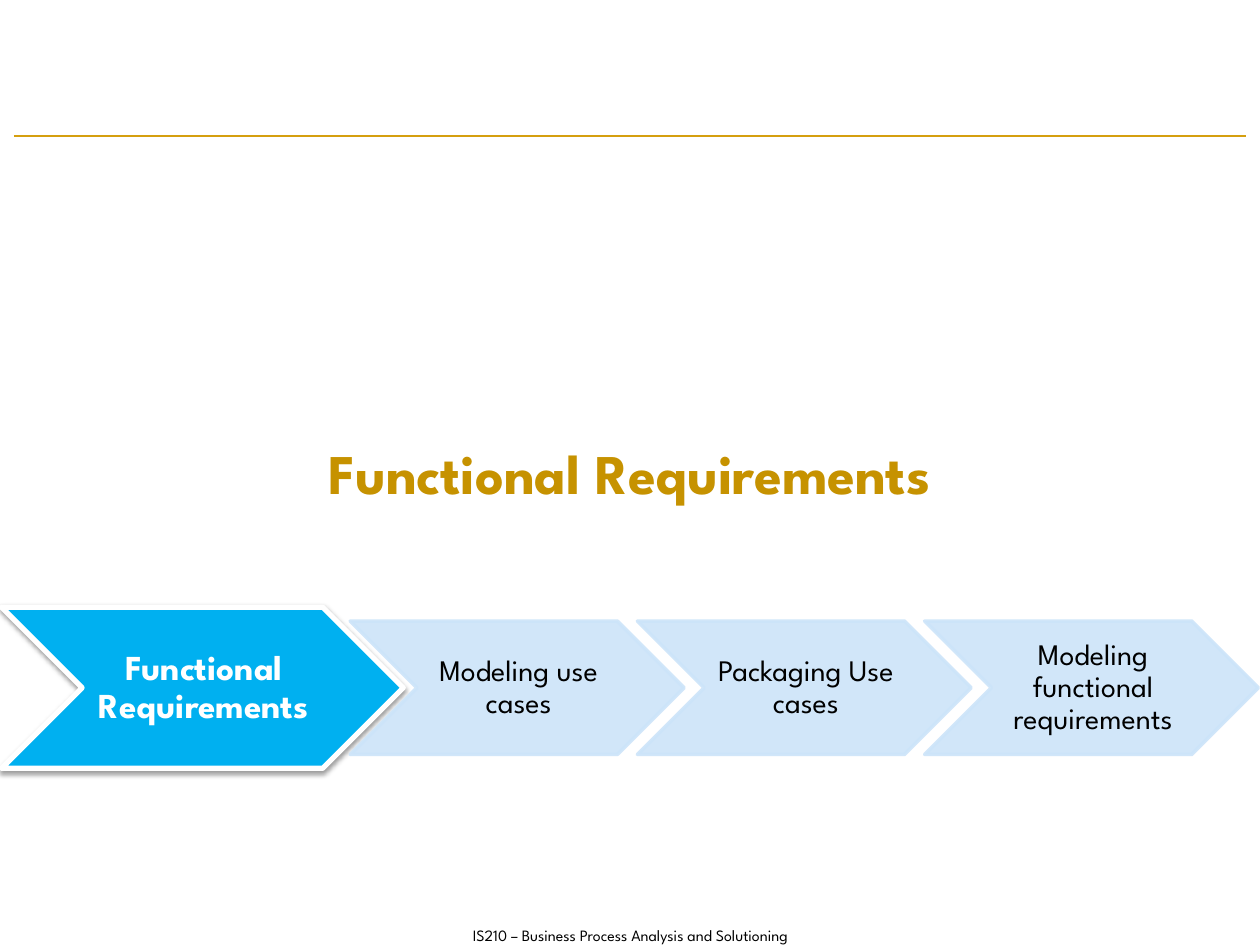
from dataclasses import dataclass

from lxml.etree import SubElement
from pptx import Presentation
from pptx.dml.color import RGBColor
from pptx.enum.shapes import MSO_CONNECTOR as Connector, MSO_SHAPE as Shape
from pptx.enum.text import MSO_ANCHOR as Anchor, PP_ALIGN as Align
from pptx.oxml.ns import qn
from pptx.util import Cm, Pt


@dataclass(frozen=True)
class Theme:
    font: str = "League Spartan"
    gold: str = "C69200"
    rule: str = "D59F0F"
    active: str = "00B0F0"
    pale: str = "CCE4F9"
    white: str = "FFFFFF"
    black: str = "000000"
    title_size: int = 32
    active_size: int = 20
    step_size: int = 17
    footer_size: int = 9


THEME = Theme()
LATER_STEPS = ["Modeling use cases", "Packaging Use cases",
               "Modeling functional requirements"]


def rgb(value):
    return RGBColor.from_string(value)


def add_rule(page, left, right, top):
    line = page.shapes.add_connector(
        Connector.STRAIGHT, Cm(left), Cm(top), Cm(right), Cm(top))
    line.line.color.rgb = rgb(THEME.rule)
    line.line.width = Pt(0.75)
    SubElement(line._element.spPr, qn("a:effectLst"))


def add_text(page, text, area, size, color, bold=False, anchor=Anchor.MIDDLE,
             margins=(0.25, 0.13, 0.25, 0.13), spacing=None):
    box = page.shapes.add_textbox(*map(Cm, area))
    frame = box.text_frame
    frame.word_wrap = True
    frame.vertical_anchor = anchor
    (frame.margin_left, frame.margin_top,
     frame.margin_right, frame.margin_bottom) = map(Cm, margins)
    para = frame.paragraphs[0]
    para.alignment = Align.CENTER
    if spacing:
        para.line_spacing = spacing
    span = para.add_run()
    span.text = text
    span.font.name = THEME.font
    span.font.size = Pt(size)
    span.font.bold = bold
    span.font.color.rgb = rgb(color)


def add_chevron(page, area, fill, outline, width):
    chevron = page.shapes.add_shape(Shape.CHEVRON, *map(Cm, area))
    chevron.shadow.inherit = False
    chevron.fill.solid()
    chevron.fill.fore_color.rgb = rgb(fill)
    chevron.line.color.rgb = rgb(outline)
    chevron.line.width = Pt(width)
    return chevron


def add_step_label(page, text, area, size, color, bold=False):
    # The label sits between the notch and the point, each half a height deep
    left, top, width, height = area
    add_text(page, text, (left + height / 2, top, width - height, height),
             size, color, bold, margins=(0.06, 0.03, 0, 0.03), spacing=0.9)


def set_alpha(shape, percent):
    for color in shape._element.spPr.iter(qn("a:srgbClr")):
        SubElement(color, qn("a:alpha"), val=str(percent * 1000))


def add_shadow(shape):
    effects = shape._element.spPr.find(qn("a:effectLst"))
    shadow = SubElement(effects, qn("a:outerShdw"), blurRad=str(Pt(3.1)),
                        dist=str(Pt(1.6)), dir="5400000", rotWithShape="0")
    color = SubElement(shadow, qn("a:srgbClr"), val=THEME.black)
    SubElement(color, qn("a:alpha"), val="38000")


def add_active_step(page, text):
    area = (0.03, 12.24, 8.1, 3.25)
    add_shadow(add_chevron(page, area, THEME.active, THEME.white, 3))
    add_step_label(page, text, area, THEME.active_size, THEME.white, True)


def add_later_steps(page, labels):
    first_left, pitch = 7.06, 5.79
    for index, text in enumerate(labels):
        area = (first_left + index * pitch, 12.52, 6.73, 2.69)
        set_alpha(add_chevron(page, area, THEME.pale, THEME.pale, 2), 90)
        add_step_label(page, text, area, THEME.step_size, THEME.black)


def main():
    deck = Presentation()
    deck.slide_width, deck.slide_height = Cm(25.4), Cm(19.05)
    page = deck.slides.add_slide(deck.slide_layouts[6])

    # Frame: rule and footer
    add_rule(page, 0.28, 25.12, 2.74)
    add_text(page, "IS210 – Business Process Analysis and Solutioning",
             (4.17, 18.54, 17.07, 0.64), THEME.footer_size, THEME.black,
             anchor=Anchor.TOP)

    # Section title
    add_text(page, "Functional Requirements", (1.17, 8.71, 23.06, 1.63),
             THEME.title_size, THEME.gold, bold=True)

    # Process steps, the current one first
    add_active_step(page, "Functional Requirements")
    add_later_steps(page, LATER_STEPS)

    deck.save("out.pptx")


if __name__ == "__main__":
    main()
